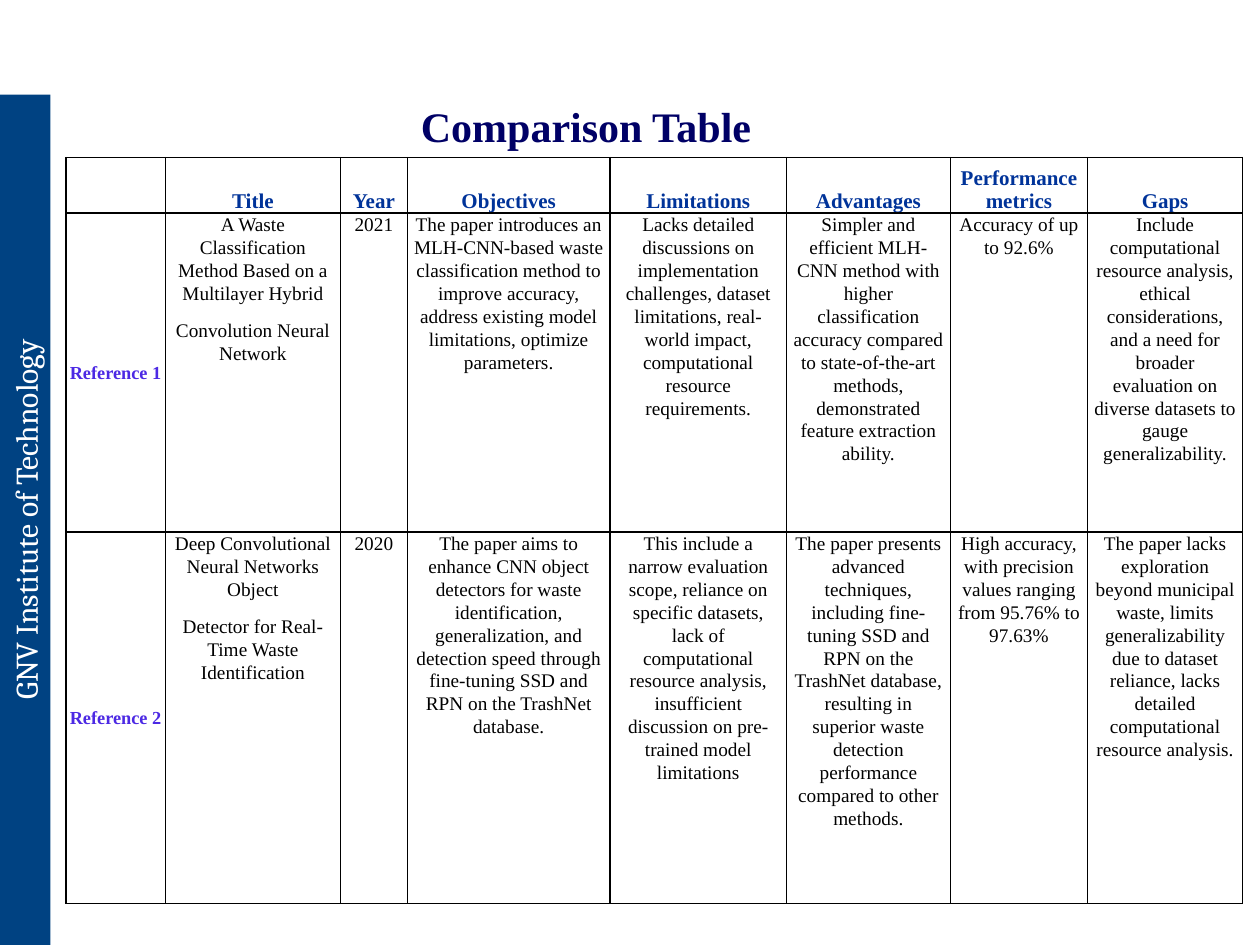
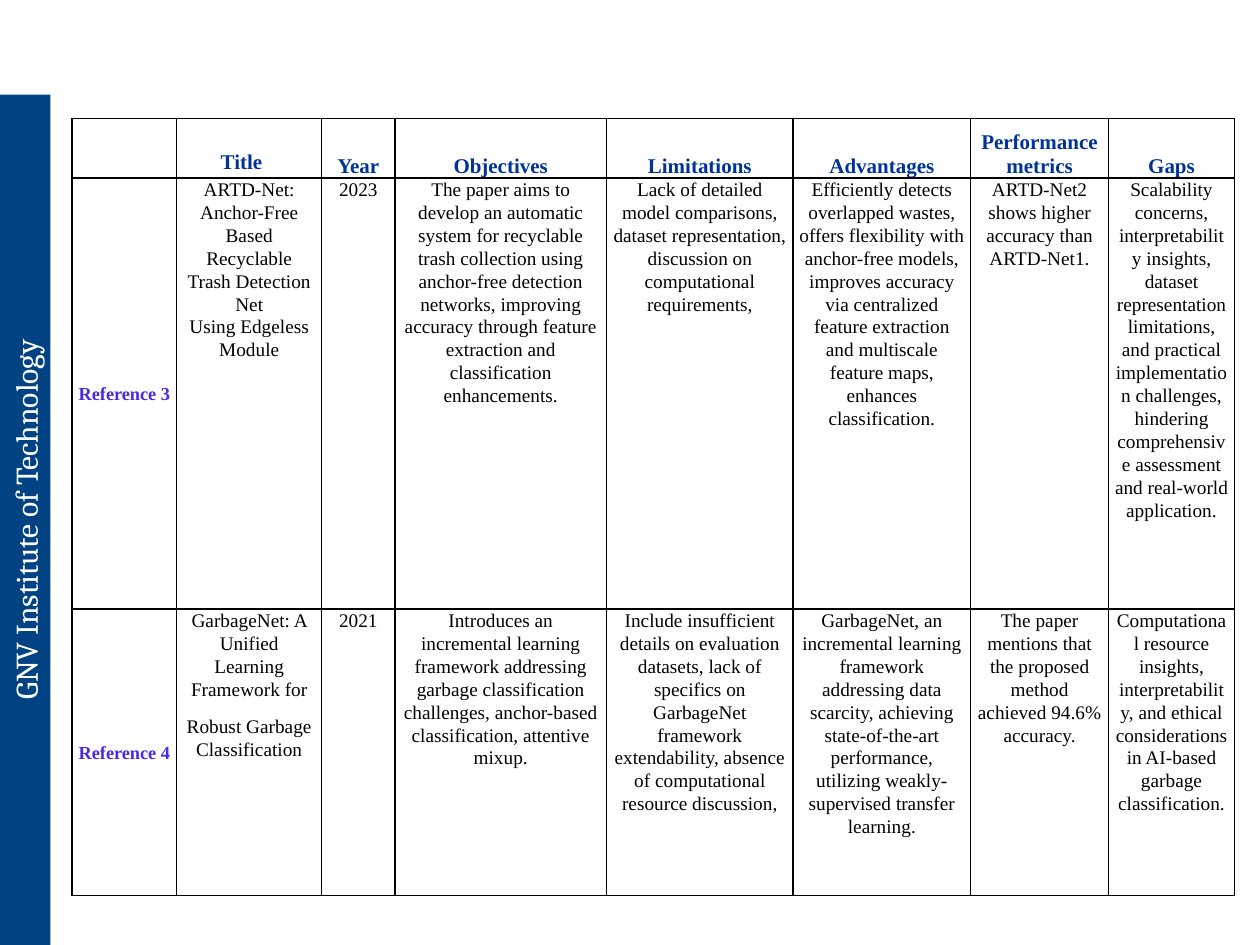
from copy import deepcopy
from dataclasses import dataclass

from lxml.etree import SubElement
from pptx import Presentation
from pptx.dml.color import RGBColor
from pptx.enum.shapes import MSO_SHAPE
from pptx.enum.text import MSO_ANCHOR, PP_ALIGN
from pptx.oxml.ns import qn
from pptx.util import Pt

PAGE_WIDTH, PAGE_HEIGHT = 720, 540
BAND_BLUE = RGBColor(0x00, 0x42, 0x82)
TITLE_NAVY = RGBColor(0x00, 0x00, 0x66)
HEADER_BLUE = RGBColor(0x00, 0x33, 0x99)
REFERENCE_VIOLET = RGBColor(0x4C, 0x29, 0xE4)
BLACK = RGBColor(0, 0, 0)
WHITE = RGBColor(255, 255, 255)
SERIF = "Times New Roman"
BAND_FONT = "Cambria"
BAND_TEXT = "GNV Institute of Technology"
HEADERS = ("Title", "Year", "Objectives", "Limitations", "Advantages",
           "Performance metrics", "Gaps")
LABEL_MARGINS = (0.7, 0.7, 0.7, 0)
BODY_MARGINS = (3.6, 0, 3.6, 0)


@dataclass(frozen=True)
class Paper:
    """Hold one table row: its label and the seven cells that follow."""
    label: str
    cells: tuple[str, ...]


@dataclass(frozen=True)
class Comparison:
    """Describe one comparison slide."""
    left: float
    top: float
    widths: tuple[float, ...]
    heights: tuple[float, ...]
    papers: tuple[Paper, ...]
    heading: str = ""
    title_margins: tuple[float, ...] = LABEL_MARGINS


COMPARISONS = (
    Comparison(
        left=37.6, top=90,
        widths=(56.9, 100.1, 38.2, 115.9, 100.8, 93.6, 78.5, 88.5),
        heights=(31.7, 182.2, 212.4),
        heading="Comparison Table",
        papers=(
            Paper("Reference 1", (
                "A Waste Classification Method Based on a Multilayer Hybrid\n"
                "Convolution Neural Network",
                "2021",
                "The paper introduces an MLH-CNN-based waste classification method to improve "
                "accuracy, address existing model limitations, optimize parameters.",
                "Lacks detailed discussions on implementation challenges, dataset limitations, "
                "real-world impact, computational resource requirements.",
                "Simpler and efficient MLH-CNN method with higher classification accuracy compared "
                "to state-of-the-art methods, demonstrated feature extraction ability.",
                "Accuracy of up to 92.6%",
                "Include computational resource analysis, ethical considerations, and a need for "
                "broader evaluation on diverse datasets to gauge generalizability.",
            )),
            Paper("Reference 2", (
                "Deep Convolutional Neural Networks Object\n"
                "Detector for Real-Time Waste Identification",
                "2020",
                "The paper aims to enhance CNN object detectors for waste identification, "
                "generalization, and detection speed through fine-tuning SSD and RPN on the "
                "TrashNet database.",
                "This include a narrow evaluation scope, reliance on specific datasets, lack of "
                "computational resource analysis, insufficient discussion on pre-trained model "
                "limitations",
                "The paper presents advanced techniques, including fine-tuning SSD and RPN on the "
                "TrashNet database, resulting in superior waste detection performance compared to "
                "other methods.",
                "High accuracy, with precision values ranging from 95.76% to 97.63%",
                "The paper lacks exploration beyond municipal waste, limits generalizability due "
                "to dataset reliance, lacks detailed computational resource analysis.",
            )),
        ),
    ),
    Comparison(
        left=41.2, top=67.6,
        widths=(59.8, 82.9, 41.8, 121, 106.6, 101.5, 78.8, 72),
        heights=(34, 246.3, 164),
        title_margins=(0.7, 0.7, 9.5, 2.3),
        papers=(
            Paper("Reference 3", (
                "ARTD-Net: Anchor-Free Based Recyclable Trash Detection Net\v"
                "Using Edgeless Module",
                "2023",
                "The paper aims to develop an automatic system for recyclable trash collection "
                "using anchor-free detection networks, improving accuracy through feature "
                "extraction and classification enhancements.",
                "Lack of detailed model comparisons, dataset representation, discussion on "
                "computational requirements,",
                "Efficiently detects overlapped wastes, offers flexibility with anchor-free "
                "models, improves accuracy via centralized feature extraction and multiscale "
                "feature maps, enhances classification.",
                "ARTD-Net2 shows higher accuracy than ARTD-Net1.",
                "Scalability concerns, interpretability insights, dataset representation "
                "limitations, and practical implementation challenges, hindering comprehensive "
                "assessment and real-world application.",
            )),
            Paper("Reference 4", (
                "GarbageNet: A Unified Learning Framework for\nRobust Garbage Classification",
                "2021",
                "Introduces an incremental learning framework addressing garbage classification "
                "challenges, anchor-based classification, attentive mixup.",
                "Include insufficient details on evaluation datasets, lack of specifics on "
                "GarbageNet framework extendability, absence of computational resource discussion,",
                "GarbageNet, an incremental learning framework addressing data scarcity, achieving "
                "state-of-the-art performance, utilizing weakly-supervised transfer learning.",
                "The paper mentions that the proposed method achieved 94.6% accuracy.",
                "Computational resource insights, interpretability, and ethical considerations in "
                "AI-based garbage classification.",
            )),
        ),
    ),
)


def write_text(frame, text: str, *, size: float, color: RGBColor, font: str = SERIF,
               bold: bool = False, align: PP_ALIGN = PP_ALIGN.CENTER,
               line_spacing: float = 1.0, space_after: float = 0) -> None:
    """Fill a text frame, one paragraph for each line of the text."""
    frame.text = text
    for para in frame.paragraphs:
        para.alignment = align
        para.line_spacing = line_spacing
        para.space_before = Pt(0)
        para.space_after = Pt(space_after)
        for span in para.runs:
            span.font.name = font
            span.font.size = Pt(size)
            span.font.bold = bold
            span.font.color.rgb = color
        for line_break in para._p.findall(qn("a:br")):
            line_break.insert(0, deepcopy(para.runs[0]._r.rPr))


def draw_band(page) -> None:
    """Draw the vertical band with the institute's name."""
    length, thickness = 486, 28.8
    center_x, center_y = 14.4, PAGE_HEIGHT - length / 2
    band = page.shapes.add_shape(
        MSO_SHAPE.RECTANGLE, Pt(center_x - length / 2), Pt(center_y - thickness / 2),
        Pt(length), Pt(thickness))
    band.rotation = 270
    band.shadow.inherit = False
    band.fill.solid()
    band.fill.fore_color.rgb = BAND_BLUE
    band.line.fill.background()
    band.text_frame.vertical_anchor = MSO_ANCHOR.MIDDLE
    write_text(band.text_frame, BAND_TEXT, size=18, color=WHITE, font=BAND_FONT)


def place_title(page, heading: str) -> None:
    """Move and format the title placeholder."""
    title = page.shapes.title
    title.left, title.top, title.width, title.height = Pt(233.3), Pt(54), Pt(207.4), Pt(36)
    title.text_frame.word_wrap = False
    write_text(title.text_frame, heading, size=24, color=TITLE_NAVY, bold=True,
               align=PP_ALIGN.LEFT)


def frame_cell(cell) -> None:
    """Clear a cell's fill and give it thin black borders."""
    cell.fill.background()
    properties = cell._tc.get_or_add_tcPr()
    for position, side in enumerate(("lnL", "lnR", "lnT", "lnB")):
        border = SubElement(properties, qn(f"a:{side}"), w=str(Pt(1)))
        fill = SubElement(border, qn("a:solidFill"))
        SubElement(fill, qn("a:srgbClr"), val=str(BLACK))
        properties.insert(position, border)


def fill_cell(cell, text: str, *, margins: tuple[float, ...], anchor: MSO_ANCHOR,
              **text_format) -> None:
    """Write a cell's text with its margins and anchor."""
    cell.margin_left, cell.margin_top, cell.margin_right, cell.margin_bottom = map(Pt, margins)
    cell.vertical_anchor = anchor
    write_text(cell.text_frame, text, **text_format)


def draw_table(page, comparison: Comparison) -> None:
    """Draw the comparison of papers as a table."""
    widths, heights = comparison.widths, comparison.heights
    table = page.shapes.add_table(
        len(heights), len(widths), Pt(comparison.left), Pt(comparison.top),
        Pt(sum(widths)), Pt(sum(heights))).table
    table.first_row = table.horz_banding = False
    for column, width in zip(table.columns, widths):
        column.width = Pt(width)
    for row, height in zip(table.rows, heights):
        row.height = Pt(height)
    for cell in table.iter_cells():
        frame_cell(cell)
    for column, header in enumerate(HEADERS, start=1):
        margins = comparison.title_margins if column == 1 else LABEL_MARGINS
        fill_cell(table.cell(0, column), header, margins=margins, anchor=MSO_ANCHOR.BOTTOM,
                  size=12, color=HEADER_BLUE, bold=True)
    for row, paper in enumerate(comparison.papers, start=1):
        fill_cell(table.cell(row, 0), paper.label, margins=LABEL_MARGINS,
                  anchor=MSO_ANCHOR.MIDDLE, size=10.5, color=REFERENCE_VIOLET, bold=True)
        for column, text in enumerate(paper.cells, start=1):
            fill_cell(table.cell(row, column), text, margins=BODY_MARGINS,
                      anchor=MSO_ANCHOR.TOP, size=11, color=BLACK,
                      line_spacing=1.07, space_after=8)


def main() -> None:
    """Build the deck and save it."""
    deck = Presentation()
    deck.slide_width, deck.slide_height = Pt(PAGE_WIDTH), Pt(PAGE_HEIGHT)
    title_only, blank = deck.slide_layouts[5], deck.slide_layouts[6]
    for comparison in COMPARISONS:
        page = deck.slides.add_slide(title_only if comparison.heading else blank)
        draw_band(page)
        if comparison.heading:
            place_title(page, comparison.heading)
        draw_table(page, comparison)
    deck.save("out.pptx")


if __name__ == "__main__":
    main()
